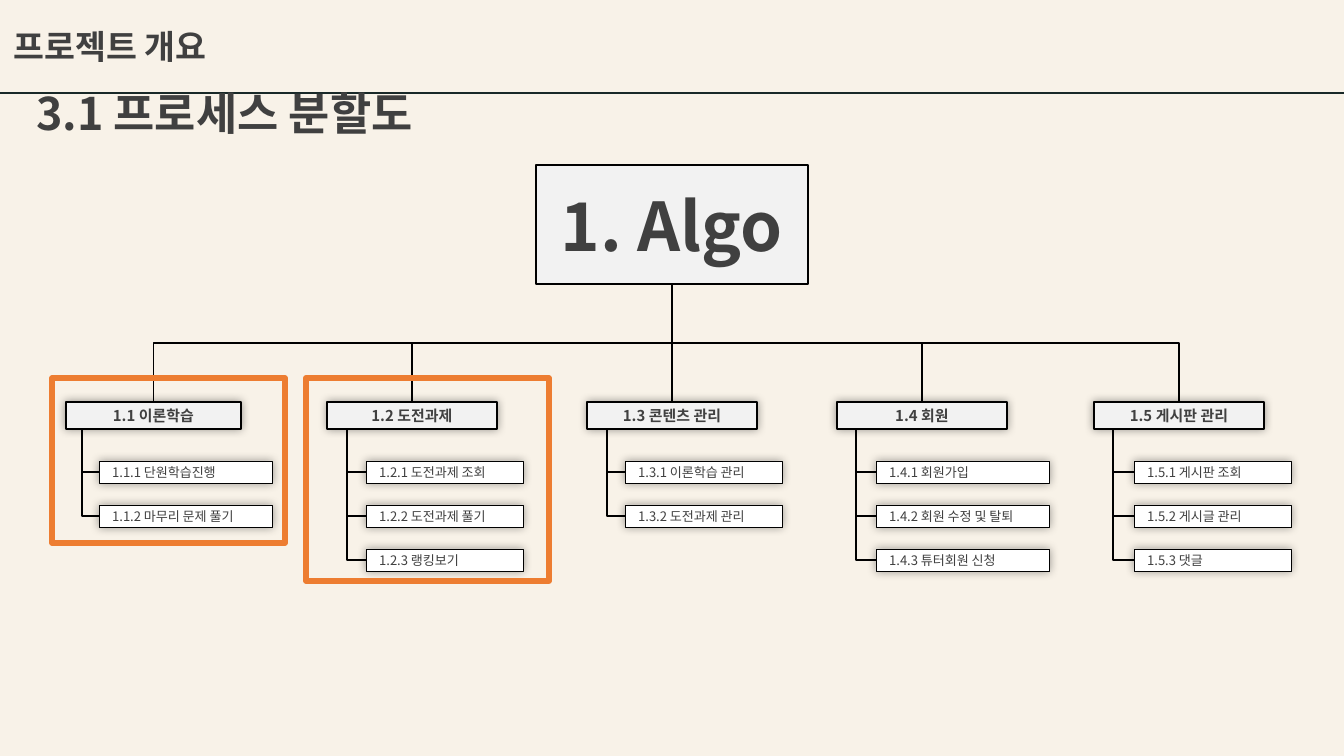
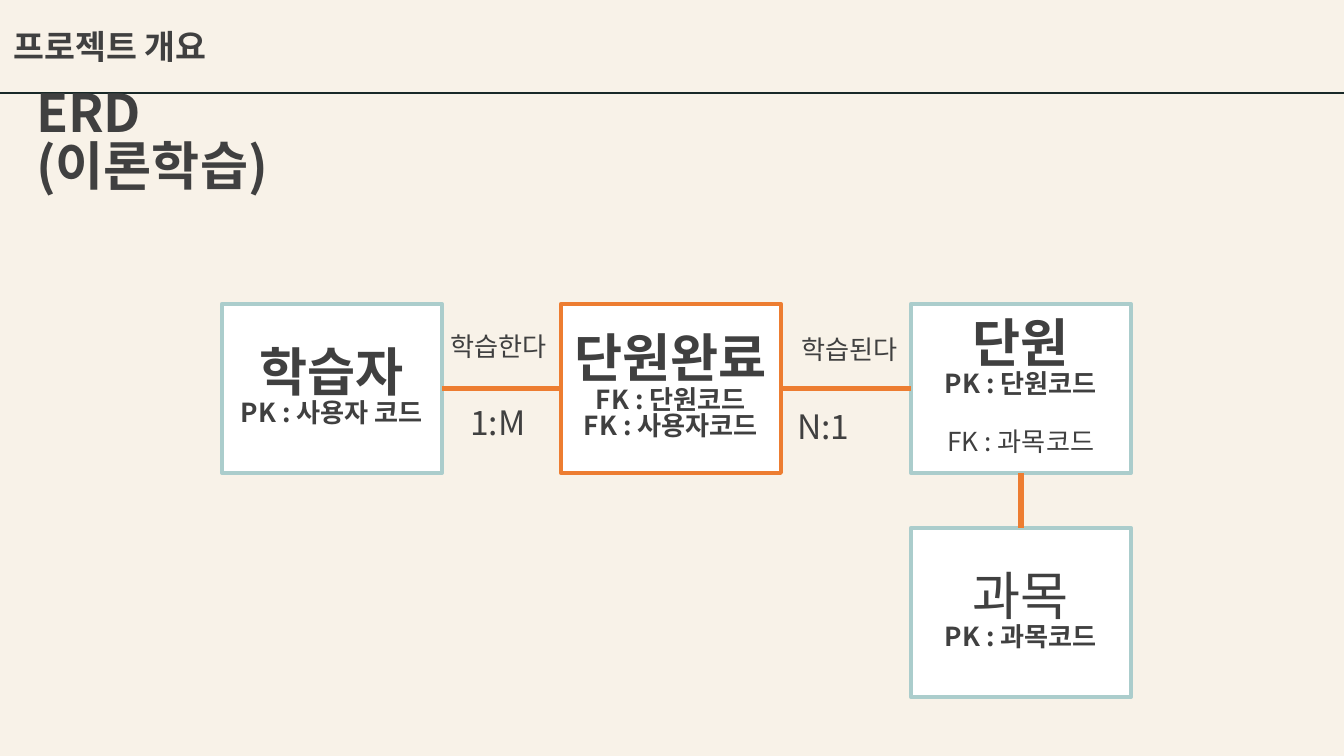
from lxml.etree import SubElement as Sub
from pptx import Presentation
from pptx.dml.color import RGBColor
from pptx.enum.shapes import MSO_CONNECTOR as Link, MSO_SHAPE as Form
from pptx.enum.text import MSO_ANCHOR as Anchor, PP_ALIGN as Align
from pptx.oxml.ns import qn
from pptx.util import Pt

SCALE = 9144000 / 1344
FONT = "Noto Sans CJK KR"
CREAM, WHITE, GREY, INK = "F8F2E8", "FFFFFF", "F2F2F2", "404040"
BLACK, ORANGE, TEAL, RULE = "000000", "ED7D31", "ABCDCC", "192928"
TIGHT = 0.84
HEAD_Y, HEAD_H = 402, 27
LEAF_Y, LEAF_H, LEAF_GAP = 461, 22, 44

BRANCHES = [
    (66, 175, 82, 99, 173, "1.1 이론학습",
     ["1.1.1 단원학습진행", "1.1.2 마무리 문제 풀기"]),
    (327, 170, 347, 366, 157, "1.2 도전과제",
     ["1.2.1 도전과제 조회", "1.2.2 도전과제 풀기", "1.2.3 랭킹보기"]),
    (587, 170, 607, 625, 157, "1.3 콘텐츠 관리",
     ["1.3.1 이론학습 관리", "1.3.2 도전과제 관리"]),
    (837, 170, 856, 876, 173, "1.4 회원",
     ["1.4.1 회원가입", "1.4.2 회원 수정 및 탈퇴", "1.4.3 튜터회원 신청"]),
    (1094, 170, 1113, 1134, 157, "1.5 게시판 관리",
     ["1.5.1 게시판 조회", "1.5.2 게시글 관리", "1.5.3 댓글"]),
]


def px(*vals):
    """Turn pixel lengths into EMU."""
    return [round(val * SCALE) for val in vals]


def tint(code):
    """Turn a hex string into a colour."""
    return RGBColor.from_string(code)


def paint(fill, code):
    """Fill with one colour, or with none."""
    if code:
        fill.solid()
        fill.fore_color.rgb = tint(code)
    else:
        fill.background()


def write(frame, lines, align=Align.LEFT, space=1.0):
    """Write (text, size, bold, gap before) lines into a text frame."""
    for num, (text, size, bold, gap) in enumerate(lines):
        para = frame.add_paragraph() if num else frame.paragraphs[0]
        para.text = text
        para.alignment = align
        para.line_spacing = space
        para.space_before = Pt(gap)
        for run in para.runs:
            font = run.font
            font.name, font.size, font.bold = FONT, Pt(size), bold
            font.color.rgb = tint(INK)
            Sub(font._element, qn("a:ea"), typeface=FONT)


def box(slide, area, fill, line, width, glow=False):
    """Draw a rectangle, with a soft shadow on request."""
    rect = slide.shapes.add_shape(Form.RECTANGLE, *px(*area))
    rect.shadow.inherit = False
    paint(rect.fill, fill)
    rect.line.color.rgb = tint(line)
    rect.line.width = Pt(width)
    rect.text_frame.vertical_anchor = Anchor.MIDDLE
    if glow:
        effects = rect._element.spPr.find(qn("a:effectLst"))
        shade = Sub(effects, qn("a:outerShdw"), blurRad="63500",
                    dist="0", algn="ctr", rotWithShape="0")
        hue = Sub(shade, qn("a:srgbClr"), val=BLACK)
        Sub(hue, qn("a:alpha"), val="40000")
    return rect


def label(slide, area, text, size, bold=False):
    """Place an unwrapped text box."""
    frame = slide.shapes.add_textbox(*px(*area)).text_frame
    frame.word_wrap = False
    write(frame, [(text, size, bold, 0)], space=TIGHT)


def wire(slide, kind, ends, code, width):
    """Draw a connector without a shadow."""
    line = slide.shapes.add_connector(kind, *px(*ends))
    line.line.color.rgb = tint(code)
    line.line.width = Pt(width)
    Sub(line._element.spPr, qn("a:effectLst"))
    return line


def join(slide, start, side, end, stop):
    """Join two boxes with a straight orange line."""
    line = wire(slide, Link.STRAIGHT, (0, 0, 0, 0), ORANGE, 3)
    line.begin_connect(start, side)
    line.end_connect(end, stop)


def bend(line, form):
    """Turn an elbow so that it leaves its start downwards."""
    run, drop = line.end_x - line.begin_x, line.end_y - line.begin_y
    mid_x = (line.begin_x + line.end_x) // 2
    mid_y = (line.begin_y + line.end_y) // 2
    line.left, line.top = mid_x - drop // 2, mid_y - abs(run) // 2
    line.width, line.height = drop, abs(run)
    props = line._element.spPr
    turn = props.find(qn("a:xfrm"))
    turn.set("rot", "16200000" if run > 0 else "5400000")
    turn.set("flipH", "1" if run > 0 else "0")
    props.find(qn("a:prstGeom")).set("prst", form)


def branch(slide, root, left, wide, trunk, inner, span, name, items):
    """Draw one branch of the process tree."""
    foot = HEAD_Y + HEAD_H
    head = box(slide, (left, HEAD_Y, wide, HEAD_H), GREY, BLACK, 0.75, True)
    write(head.text_frame, [(name, 8, True, 0)], Align.CENTER)
    line = wire(slide, Link.ELBOW, (0, 0, 0, 0), BLACK, 0.75)
    line.begin_connect(root, 2)
    line.end_connect(head, 0)
    bend(line, "bentConnector3")
    for num, item in enumerate(items):
        top = LEAF_Y + num * LEAF_GAP
        leaf = box(slide, (inner, top, span, LEAF_H), WHITE, BLACK, 0.25, True)
        write(leaf.text_frame, [(item, 7, False, 0)])
        line = wire(slide, Link.ELBOW, (trunk, foot, inner, top), BLACK, 0.75)
        line.end_connect(leaf, 1)
        bend(line, "bentConnector2")


def card(slide, left, top, edge, lines):
    """Draw one entity of the diagram."""
    rect = box(slide, (left, top, 220, 169), WHITE, edge, 2.25)
    frame = rect.text_frame
    frame.margin_left = frame.margin_right = px(3)[0]
    frame.margin_top = frame.margin_bottom = 0
    write(frame, lines, Align.CENTER, TIGHT)
    return rect


def page(deck):
    """Add a slide with the shared title band and rule."""
    slide = deck.slides.add_slide(deck.slide_layouts[5])
    title = slide.shapes.title
    title.left, title.top, title.width, title.height = px(0, 0, 1344, 93)
    paint(title.fill, CREAM)
    title.text_frame.vertical_anchor = Anchor.MIDDLE
    write(title.text_frame, [("프로젝트 개요", 18, True, 0)])
    wire(slide, Link.STRAIGHT, (0, 93, 1344, 93), RULE, 1)
    return slide


def tree(deck):
    """Build the process tree slide."""
    slide = page(deck)
    label(slide, (23, 88, 418, 67), "3.1 프로세스 분할도", 24, True)
    root = box(slide, (536, 165, 272, 119), GREY, BLACK, 0.75)
    write(root.text_frame, [("1. Algo", 36, True, 0)], Align.CENTER)
    for parts in BRANCHES:
        branch(slide, root, *parts)
    for area in ((306, 378, 243, 203), (52, 378, 233, 165)):
        box(slide, area, None, ORANGE, 3)


def erd(deck):
    """Build the entity diagram slide."""
    slide = page(deck)
    label(slide, (23, 84, 366, 77), "ERD\v(이론학습)", 28, True)
    user = card(slide, 222, 304, TEAL, [
        ("학습자", 28, True, 0), ("PK : 사용자 코드", 14, True, 0)])
    unit = card(slide, 911, 304, TEAL, [
        ("단원", 28, True, 0), ("PK : 단원코드", 14, True, 0),
        ("FK : 과목코드", 14, False, 17)])
    topic = card(slide, 911, 528, TEAL, [
        ("과목", 28, False, 0), ("PK : 과목코드", 14, True, 0)])
    join(slide, user, 3, unit, 1)
    join(slide, topic, 0, unit, 2)
    card(slide, 561, 304, ORANGE, [
        ("단원완료", 28, True, 0), ("FK : 단원코드", 14, True, 0),
        ("FK : 사용자코드", 14, True, 0)])
    label(slide, (437, 329, 124, 46), "학습한다", 14)
    label(slide, (788, 332, 124, 46), "학습된다", 14)
    label(slide, (457, 402, 89, 54), "1:M", 18)
    label(slide, (784, 406, 85, 54), "N:1", 18)


def main():
    """Build and save the deck."""
    deck = Presentation()
    deck.slide_width, deck.slide_height = px(1344, 756)
    paint(deck.slide_master.background.fill, CREAM)
    tree(deck)
    erd(deck)
    deck.save("out.pptx")


if __name__ == "__main__":
    main()
